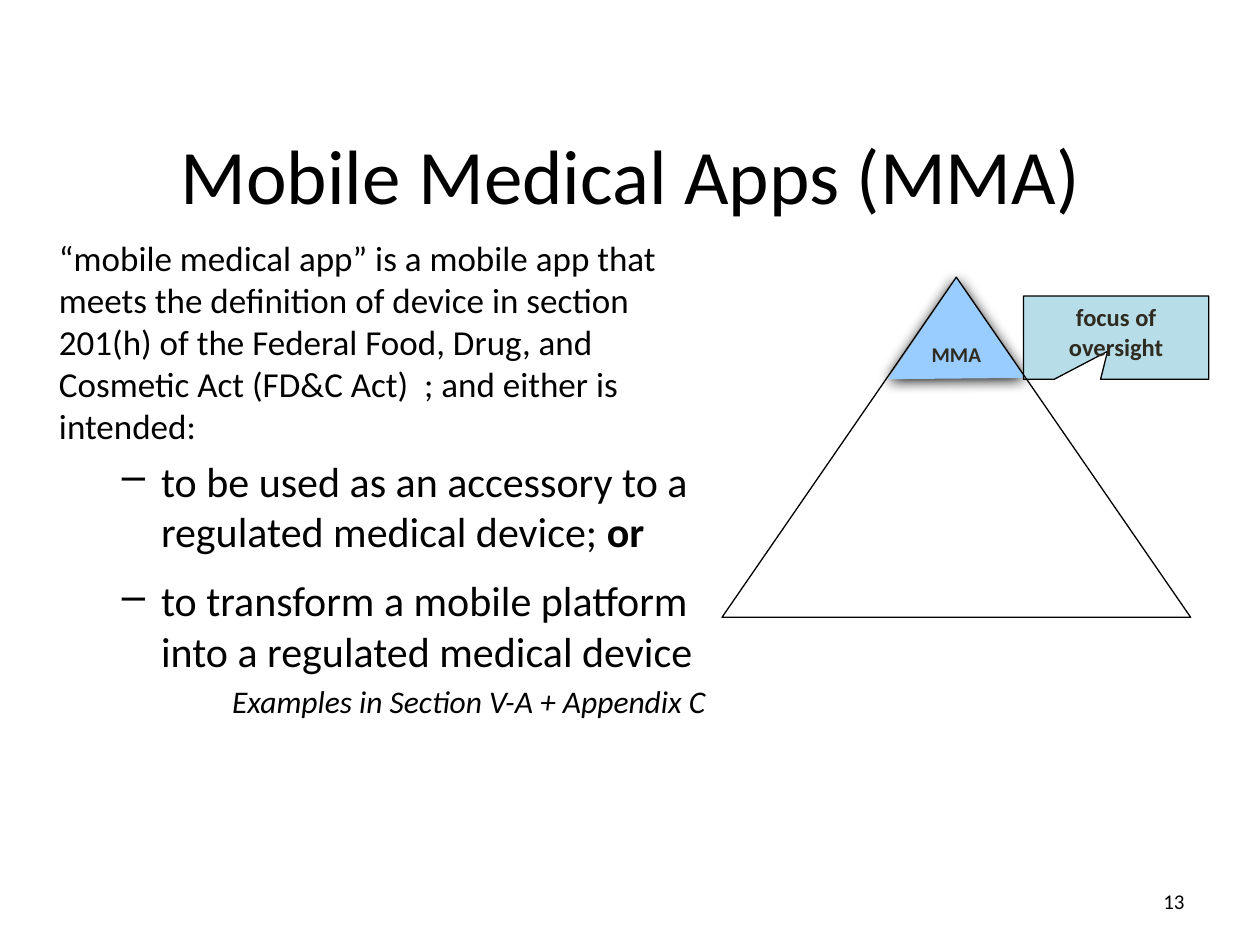
from lxml.etree import SubElement
from pptx import Presentation
from pptx.dml.color import RGBColor
from pptx.enum.shapes import MSO_SHAPE as Shape
from pptx.enum.text import MSO_ANCHOR as Anchor, PP_ALIGN as Align
from pptx.oxml.ns import qn
from pptx.util import Inches, Pt

BLACK, INK, BLUE, TEAL = "000000", "2F2B20", "99CCFF", "B7DEE8"


def color(value):
    return RGBColor.from_string(value)


def set_font(paragraph, size, value=BLACK, bold=False, italic=False):
    font = paragraph.font
    font.name, font.size = "Calibri", Pt(size)
    font.bold, font.italic = bold, italic
    font.color.rgb = color(value)


def add_text(slide, box, anchor=Anchor.TOP):
    frame = slide.shapes.add_textbox(*map(Inches, box)).text_frame
    frame.word_wrap = True
    frame.vertical_anchor = anchor
    return frame


def add_line(slide, box, text, size, align):
    paragraph = add_text(slide, box, Anchor.MIDDLE).paragraphs[0]
    paragraph.text, paragraph.alignment = text, align
    set_font(paragraph, size)


def add_dash(paragraph, margin=0.81, hang=0.31):
    properties = paragraph._p.get_or_add_pPr()
    properties.set("marL", str(Inches(margin)))
    properties.set("indent", str(-Inches(hang)))
    SubElement(properties, qn("a:buChar"), char="–")


def add_definition(slide, box):
    frame = add_text(slide, box)
    intro = frame.paragraphs[0]
    intro.text = ("“mobile medical app” is a mobile app that meets the definition of device "
                  "in section 201(h) of the Federal Food, Drug, and Cosmetic Act (FD&C Act)  ; "
                  "and either is intended:")
    set_font(intro, 20)

    # Dashed conditions: text, bold ending, space before
    conditions = [
        ("to be used as an accessory to a regulated medical device; ", "or", 4.8),
        ("to transform a mobile platform into a regulated medical device", "", 10.8),
    ]
    for text, ending, space in conditions:
        paragraph = frame.add_paragraph()
        paragraph.space_before = Pt(space)
        add_dash(paragraph)
        set_font(paragraph, 24)
        paragraph.add_run().text = text
        if ending:
            run = paragraph.add_run()
            run.text, run.font.bold = ending, True

    reference = frame.add_paragraph()
    reference.text = "Examples in Section V-A + Appendix C"
    reference.alignment, reference.space_before = Align.RIGHT, Pt(3.6)
    set_font(reference, 18, italic=True)


def style_shape(shape, fill=None, outlined=True):
    shape.shadow.inherit = False
    if fill:
        shape.fill.solid()
        shape.fill.fore_color.rgb = color(fill)
    else:
        shape.fill.background()
    if outlined:
        shape.line.color.rgb = color(BLACK)
        shape.line.width = Pt(0.75)
    else:
        shape.line.fill.background()


def add_label(shape, text, size, anchor):
    frame = shape.text_frame
    frame.word_wrap, frame.vertical_anchor = True, anchor
    paragraph = frame.paragraphs[0]
    paragraph.text, paragraph.alignment = text, Align.CENTER
    set_font(paragraph, size, INK, bold=True)
    return frame


def add_soft_shadow(shape):
    effects = shape._element.spPr.find(qn("a:effectLst"))
    shadow = SubElement(effects, qn("a:outerShdw"), blurRad=str(Pt(8.5)), dist=str(Pt(1)),
                        dir="5400000", algn="ctr", rotWithShape="0")
    SubElement(shadow, qn("a:srgbClr"), val=BLACK)


def add_pyramid(slide, box):
    left, top, width, height = box
    middle, tip_height, tip_half = left + width / 2, 0.3 * height, 0.146 * width
    shapes = slide.shapes

    # Shaded tip
    base = top + tip_height
    builder = shapes.build_freeform(Inches(middle - tip_half), Inches(base))
    builder.add_line_segments([(Inches(middle), Inches(top + 0.01)),
                               (Inches(middle + tip_half), Inches(base - 0.01))])
    tip = builder.convert_to_shape()
    style_shape(tip, BLUE, outlined=False)
    add_soft_shadow(tip)
    add_label(tip, "MMA", 12, Anchor.BOTTOM).margin_bottom = Inches(0.1)

    # Callout beside the tip
    callout = shapes.add_shape(Shape.ROUNDED_RECTANGULAR_CALLOUT, Inches(middle + tip_half - 0.01),
                               Inches(top + 0.15), Inches(1.47), Inches(0.66))
    for index, value in enumerate((-0.046, 0.165, 0)):
        callout.adjustments[index] = value
    style_shape(callout, TEAL)
    add_label(callout, "focus of oversight", 14, Anchor.TOP)

    # Whole pyramid
    style_shape(shapes.add_shape(Shape.ISOSCELES_TRIANGLE, *map(Inches, box)))


def main():
    presentation = Presentation()
    presentation.slide_width, presentation.slide_height = Inches(10), Inches(7.5)
    slide = presentation.slides.add_slide(presentation.slide_layouts[6])
    add_line(slide, (0.67, 0.75, 8.67, 1.25), "Mobile Medical Apps (MMA)", 44, Align.CENTER)
    add_line(slide, (7.17, 6.95, 2.33, 0.4), "13", 12, Align.RIGHT)
    add_definition(slide, (0.37, 1.83, 5.33, 4.58))
    add_pyramid(slide, (5.73, 2.2, 3.72, 2.7))
    presentation.save("out.pptx")


if __name__ == "__main__":
    main()
